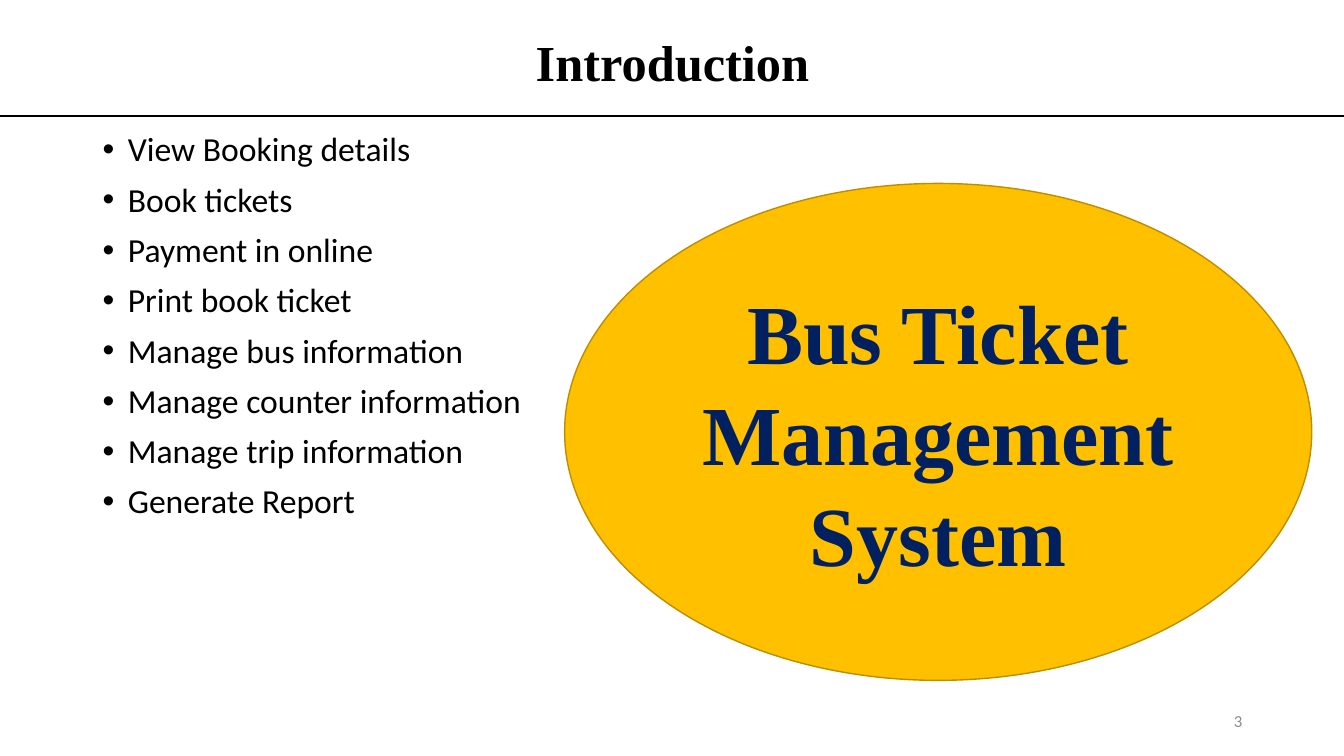
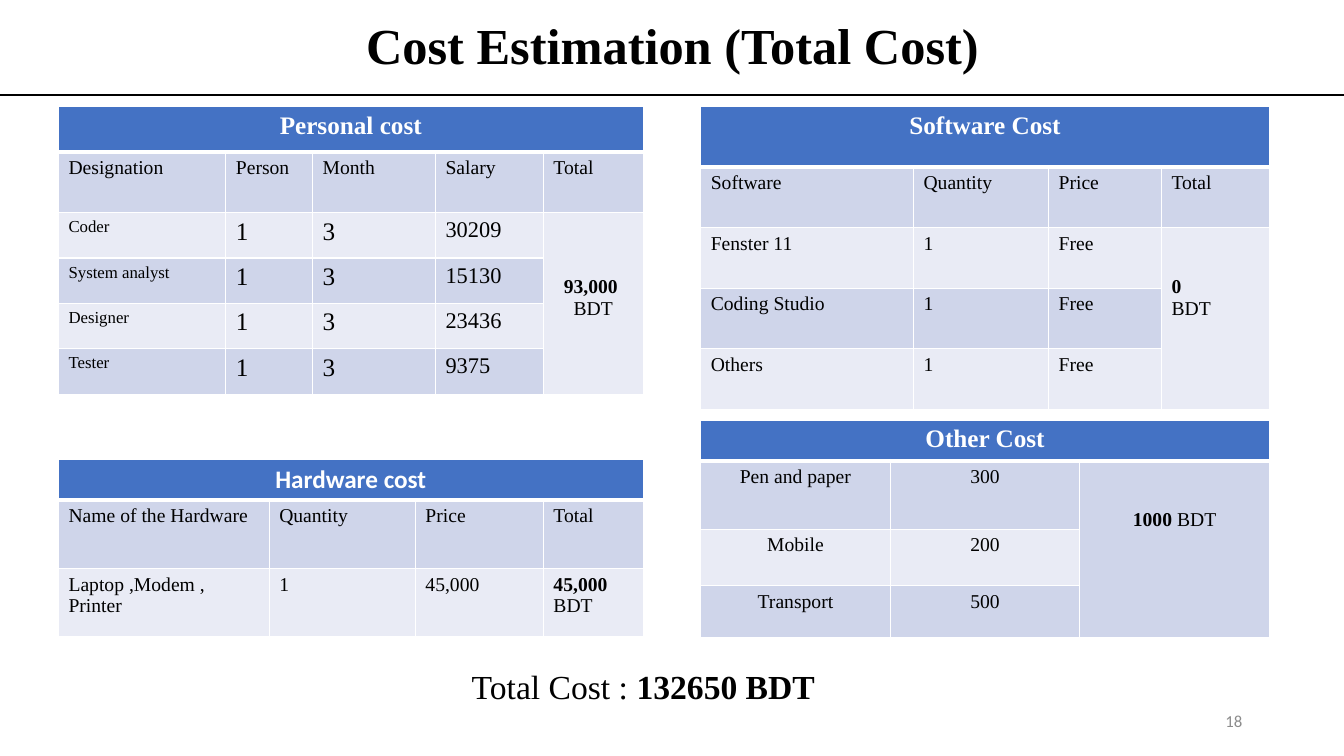
import pptx
import pptx.dml.color
import pptx.enum.shapes
import pptx.enum.text
import pptx.oxml.ns
import pptx.util
from lxml import etree

Inches = pptx.util.Inches
Pt = pptx.util.Pt
Align = pptx.enum.text.PP_ALIGN
Anchor = pptx.enum.text.MSO_ANCHOR
qn = pptx.oxml.ns.qn

SERIF, SANS = "Times New Roman", "Calibri"
BLACK, WHITE, GRAY, NAVY = "000000", "FFFFFF", "8C8C8C", "002060"
GOLD, GOLD_LINE = "FFC000", "BD8E00"
HEADER, BAND_DARK, BAND_LIGHT = "4472C4", "CFD5EA", "E9EBF5"


def color(value):
    return pptx.dml.color.RGBColor.from_string(value)


def write_text(frame, paragraphs, size=14, font=SERIF, ink=BLACK, bold=False,
               align=Align.LEFT, anchor=Anchor.TOP, line_spacing=None,
               space_before=0, bullet=None):
    """Each paragraph is a string or a list of (text, bold) runs."""
    frame.word_wrap = True
    frame.vertical_anchor = anchor
    for index, runs in enumerate(paragraphs):
        paragraph = frame.add_paragraph() if index else frame.paragraphs[0]
        paragraph.alignment = align
        paragraph.line_spacing = line_spacing
        paragraph.space_before = Pt(space_before)
        if bullet:
            properties = paragraph._p.get_or_add_pPr()
            properties.set("marL", str(Inches(0.25)))
            properties.set("indent", str(-Inches(0.25)))
            etree.SubElement(properties, qn("a:buFont"), typeface="Arial")
            etree.SubElement(properties, qn("a:buChar"), char=bullet)
        for text, run_bold in [(runs, bold)] if isinstance(runs, str) else runs:
            run = paragraph.add_run()
            run.text = text
            run.font.name = font
            run.font.size = Pt(size)
            run.font.bold = run_bold
            run.font.color.rgb = color(ink)


presentation = pptx.Presentation()
presentation.slide_width = Inches(13.33)
presentation.slide_height = Inches(7.5)

# Shared parts: title, rule below it, slide number
slides = []
for title, title_top, rule_y, number in [
    ("Introduction", 0.03, 1.15, "3"),
    ("Cost Estimation (Total Cost)", -0.14, 0.94, "18"),
]:
    slide = presentation.slides.add_slide(presentation.slide_layouts[6])
    slides.append(slide)
    title_box = slide.shapes.add_textbox(
        Inches(0.92), Inches(title_top), Inches(11.5), Inches(1.24))
    write_text(title_box.text_frame, [title], size=36, bold=True,
               align=Align.CENTER, anchor=Anchor.MIDDLE, line_spacing=0.9)
    rule = slide.shapes.add_connector(
        pptx.enum.shapes.MSO_CONNECTOR.STRAIGHT,
        Inches(0), Inches(rule_y), Inches(13.33), Inches(rule_y))
    rule.line.color.rgb = color(BLACK)
    rule.line.width = Pt(1.5)
    etree.SubElement(rule._element.spPr, qn("a:effectLst"))
    number_box = slide.shapes.add_textbox(
        Inches(9.42), Inches(6.95), Inches(3), Inches(0.4))
    write_text(number_box.text_frame, [number], size=12, font=SANS, ink=GRAY,
               align=Align.RIGHT, anchor=Anchor.MIDDLE)

introduction, costs = slides

# Introduction: feature list and system name
feature_box = introduction.shapes.add_textbox(
    Inches(0.92), Inches(1.27), Inches(11.5), Inches(4.04))
write_text(feature_box.text_frame, [
    "View Booking details",
    "Book tickets",
    "Payment in online",
    "Print book ticket",
    "Manage bus information",
    "Manage counter information",
    "Manage trip information",
    "Generate Report",
], size=24, font=SANS, line_spacing=0.9, space_before=10, bullet="•")

ellipse = introduction.shapes.add_shape(
    pptx.enum.shapes.MSO_SHAPE.OVAL,
    Inches(5.6), Inches(1.82), Inches(7.41), Inches(4.93))
ellipse.shadow.inherit = False
ellipse.fill.solid()
ellipse.fill.fore_color.rgb = color(GOLD)
ellipse.line.color.rgb = color(GOLD_LINE)
ellipse.line.width = Pt(1)
write_text(ellipse.text_frame, ["Bus Ticket Management System"], size=60,
           ink=NAVY, bold=True, align=Align.CENTER, anchor=Anchor.MIDDLE)

# Cost tables: a list cell holds the paragraphs of a total, which spans
# down to the last row and starts total_top below the top of its cell
cost_tables = [
    dict(heading="Personal cost", left=0.58, top=1.06,
         widths=[1.66, 0.86, 1.22, 1.07, 0.99],
         heights=[0.45, 0.6] + [0.45] * 4,
         item_sizes=[12, 18, 18, 16, 14],
         total_top=0.63, total_align=Align.CENTER,
         rows=[["Designation", "Person", "Month", "Salary", "Total"],
               ["Coder", "1", "3", "30209",
                [[("93,000 ", True)], "BDT"]],
               ["System analyst", "1", "3", "15130"],
               ["Designer", "1", "3", "23436"],
               ["Tester", "1", "3", "9375"]]),
    dict(heading="Hardware cost", heading_font=SANS, left=0.58, top=4.56,
         widths=[2.09, 1.45, 1.27, 0.99], heights=[0.4, 0.68, 0.68],
         total_top=0.05,
         rows=[["Name of the Hardware", "Quantity", "Price", "Total"],
               ["Laptop ,Modem , Printer", "1", "45,000",
                [[("45,000 ", True), ("BDT", False)]]]]),
    dict(heading="Software Cost", left=6.95, top=1.06,
         widths=[2.11, 1.34, 1.12, 1.07], heights=[0.6] * 5,
         total_top=0.48,
         rows=[["Software", "Quantity", "Price", "Total"],
               ["Fenster 11", "1", "Free", [[("0", True)], "BDT"]],
               ["Coding Studio", "1", "Free"],
               ["Others", "1", "Free"]]),
    dict(heading="Other Cost", left=6.95, top=4.17,
         widths=[1.88] * 3, heights=[0.39, 0.68, 0.56, 0.52],
         align=Align.CENTER, total_top=0.48, total_align=Align.CENTER,
         rows=[["Pen and paper", "300",
                [[("1000 ", True), ("BDT", False)]]],
               ["Mobile", "200"],
               ["Transport", "500"]]),
]

for cost in cost_tables:
    widths, heights = cost["widths"], cost["heights"]
    align = cost.get("align", Align.LEFT)
    last_row, last_column = len(heights) - 1, len(widths) - 1
    table = costs.shapes.add_table(
        len(heights), len(widths), Inches(cost["left"]), Inches(cost["top"]),
        Inches(sum(widths)), Inches(sum(heights))).table
    for column, width in zip(table.columns, widths):
        column.width = Inches(width)
    for row, height in zip(table.rows, heights):
        row.height = Inches(height)

    # Borders and banded fills
    for row_index in range(len(heights)):
        for column_index in range(len(widths)):
            cell = table.cell(row_index, column_index)
            properties = cell._tc.get_or_add_tcPr()
            for side in "LRTB":
                below_heading = (row_index, side) in [(0, "B"), (1, "T")]
                border = etree.SubElement(
                    properties, qn("a:ln" + side),
                    w=str(Pt(3 if below_heading else 1)))
                border_fill = etree.SubElement(border, qn("a:solidFill"))
                etree.SubElement(border_fill, qn("a:srgbClr"), val=WHITE)
            cell.fill.solid()
            cell.fill.fore_color.rgb = color(
                HEADER if row_index == 0
                else BAND_DARK if row_index % 2 else BAND_LIGHT)

    # Heading
    heading = table.cell(0, 0)
    heading.merge(table.cell(0, last_column))
    write_text(heading.text_frame, [cost["heading"]], size=18, ink=WHITE,
               font=cost.get("heading_font", SERIF), bold=True,
               align=Align.CENTER)

    # Items and totals
    for row_index, values in enumerate(cost["rows"], 1):
        for column_index, value in enumerate(values):
            cell = table.cell(row_index, column_index)
            if isinstance(value, list):
                if row_index < last_row:
                    cell.merge(table.cell(last_row, column_index))
                cell.margin_top = Inches(cost["total_top"])
                write_text(cell.text_frame, value,
                           align=cost.get("total_align", Align.LEFT))
            else:
                size = 14
                if row_index > 1 and "item_sizes" in cost:
                    size = cost["item_sizes"][column_index]
                write_text(cell.text_frame, [value], size=size, align=align)

# Grand total
total_box = costs.shapes.add_textbox(
    Inches(2.09), Inches(6.56), Inches(8.58), Inches(0.5))
write_text(total_box.text_frame,
           [[("Total Cost : ", False), ("132650 BDT", True)]],
           size=24, align=Align.CENTER)

presentation.save("out.pptx")
